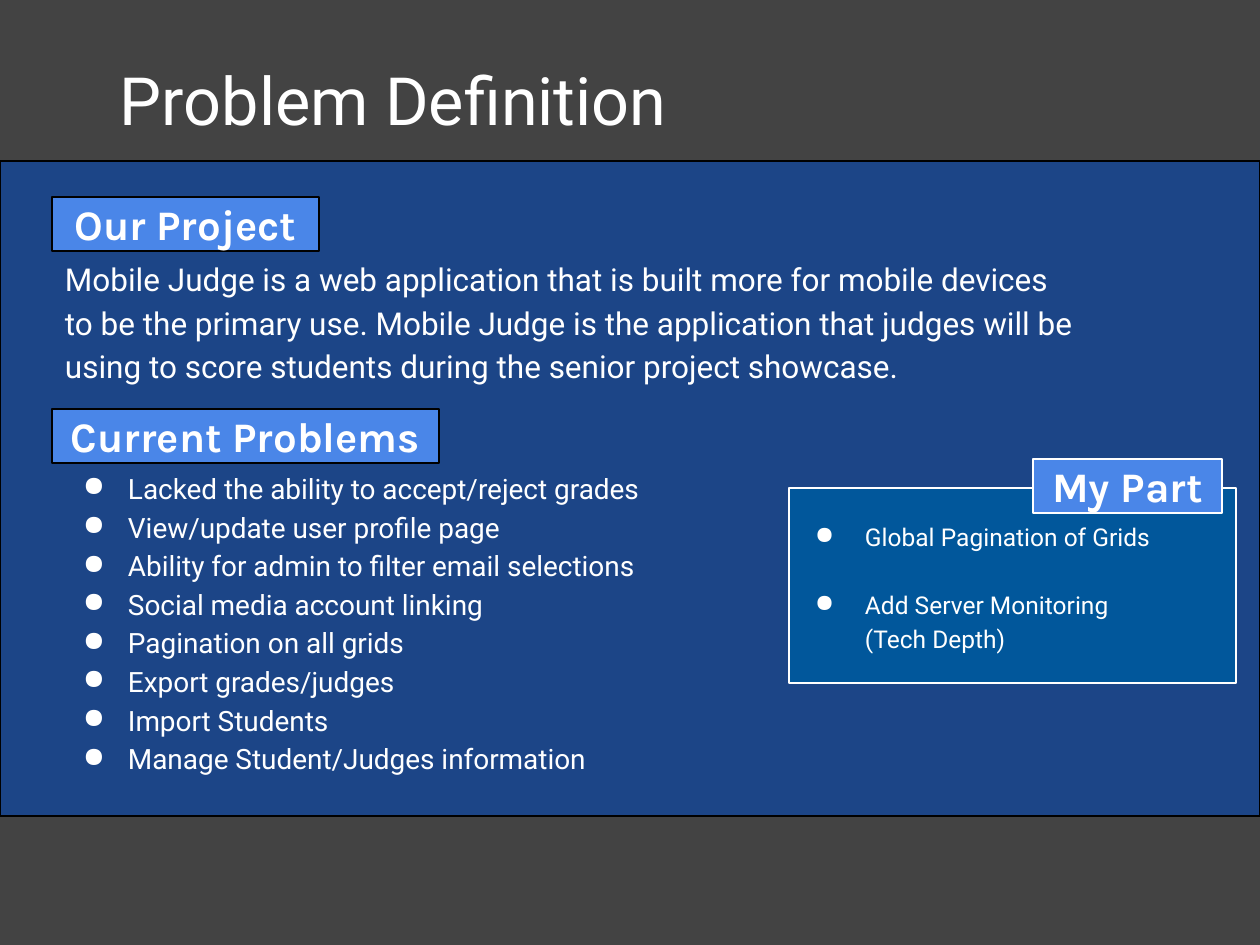
from pptx import Presentation
from pptx.dml.color import RGBColor
from pptx.enum.shapes import MSO_SHAPE
from pptx.enum.text import MSO_ANCHOR, MSO_AUTO_SIZE, PP_ALIGN
from pptx.oxml.xmlchemy import OxmlElement
from pptx.util import Pt

RECT = MSO_SHAPE.RECTANGLE
TOP, MIDDLE = MSO_ANCHOR.TOP, MSO_ANCHOR.MIDDLE
LEFT, CENTER = PP_ALIGN.LEFT, PP_ALIGN.CENTER
PX = 914400 / 126
C = {"back": "434343", "panel": "1C4587", "label": "4A86E8",
     "part": "01579B", "white": "FFFFFF", "black": "000000"}


def add_box(x, y, w, h, fill, line, width):
    sp = s.shapes.add_shape(RECT, *(round(v * PX) for v in (x, y, w, h)))
    sp.shadow.inherit = False
    sp.fill.solid()
    sp.fill.fore_color.rgb = RGBColor.from_string(C[fill])
    sp.line.color.rgb = RGBColor.from_string(C[line])
    sp.line.width = Pt(width)
    return sp


def write(sp, lines, size, font="Roboto", align=LEFT, anchor=MIDDLE, inset=13,
          spacing=1.15, before=0, hang=None):
    tf = sp.text_frame
    tf.word_wrap = True
    tf.auto_size = MSO_AUTO_SIZE.NONE
    tf.vertical_anchor = anchor
    tf.margin_left = tf.margin_right = round(13 * PX)
    tf.margin_top = tf.margin_bottom = round(inset * PX)
    for i, line in enumerate(lines):
        p = tf.add_paragraph() if i else tf.paragraphs[0]
        p.alignment = align
        p.line_spacing = spacing
        p.space_before = Pt(before)
        pPr = p._p.get_or_add_pPr()
        pPr.set("marL", str(round(63 * PX) if hang else 0))
        pPr.set("indent", str(round(-hang * PX) if hang else 0))
        if hang:
            color = OxmlElement("a:buClr")
            rgb = OxmlElement("a:srgbClr")
            rgb.set("val", C["white"])
            color.append(rgb)
            bullet = OxmlElement("a:buChar")
            bullet.set("char", "●")
            pPr.extend([color, bullet])
        else:
            pPr.append(OxmlElement("a:buNone"))
        for j, part in enumerate(line.split("\n")):
            if j:
                p.add_line_break()
            r = p.add_run()
            r.text = part
            r.font.name = font
            r.font.size = Pt(size)
            r.font.bold = font == "Karla"
            r.font.color.rgb = RGBColor.from_string(C["white"])


prs = Presentation()
prs.slide_width = round(1260 * PX)
prs.slide_height = round(945 * PX)
s = prs.slides.add_slide(prs.slide_layouts[1])
s.background.fill.solid()
s.background.fill.fore_color.rgb = RGBColor.from_string(C["back"])

panel = add_box(0, 161, 1260, 655, "panel", "black", 0.75)
s.shapes._spTree.insert(2, panel._element)

title, body = s.shapes.title, s.placeholders[1]
for sp, frame in ((title, (107, 53, 1045, 144)), (body, (52, 231, 1045, 178))):
    sp.left, sp.top, sp.width, sp.height = (round(v * PX) for v in frame)
write(title, ["Problem Definition"], 38, anchor=TOP, inset=6, spacing=1.0)
write(body, ["Mobile Judge is a web application that is built more for mobile "
             "devices to be the primary use. Mobile Judge is the application "
             "that judges will be using to score students during the senior "
             "project showcase."], 18, inset=6)

problems = s.shapes.add_textbox(*(round(v * PX) for v in (52, 451, 634, 340)))
write(problems, ["Lacked the ability to accept/reject grades",
                 "View/update user profile page",
                 "Ability for admin to filter email selections",
                 "Social media account linking",
                 "Pagination on all grids",
                 "Export grades/judges",
                 "Import Students",
                 "Manage Student/Judges information"], 16, hang=45)

my_part = add_box(789, 488, 447, 195, "part", "white", 1.5)
write(my_part, ["Global Pagination of Grids",
                "Add Server Monitoring \n(Tech Depth)"], 14, before=20, hang=50)

for text, x, y, w, line, width in (
        ("Our Project", 52, 197, 267, "black", 0.75),
        ("Current Problems", 52, 409, 387, "black", 0.75),
        ("My Part", 1033, 459, 189, "white", 1.5)):
    label = add_box(x, y, w, 54, "label", line, width)
    write(label, [text], 24, font="Karla", align=CENTER, spacing=1.0)

prs.save("out.pptx")
